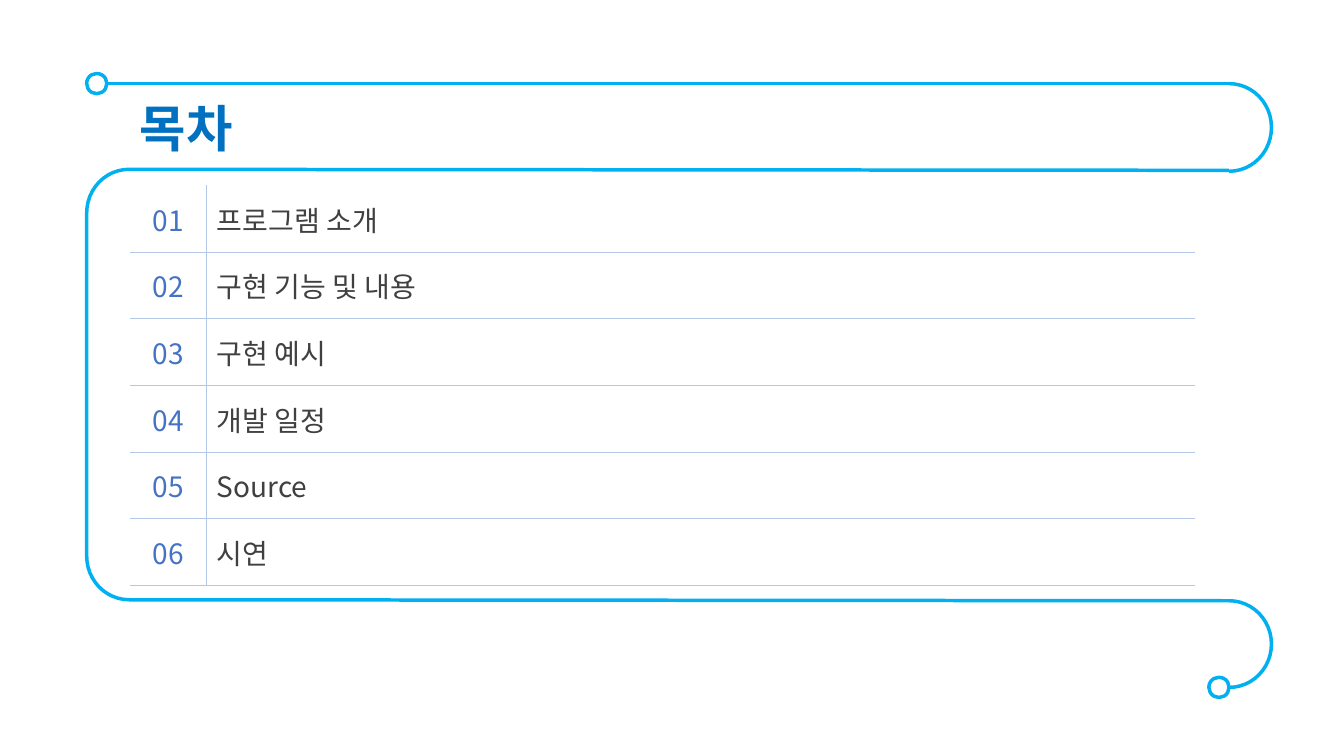
"""Build a table-of-contents slide framed by a winding line."""
from lxml import etree
from pptx import Presentation
from pptx.dml.color import RGBColor
from pptx.enum.shapes import MSO_CONNECTOR, MSO_SHAPE
from pptx.enum.text import MSO_ANCHOR, PP_ALIGN
from pptx.oxml.ns import qn
from pptx.util import Inches, Pt

TITLE = "목차"
TOPICS = ["프로그램 소개", "구현 기능 및 내용", "구현 예시", "개발 일정", "Source", "시연"]

FONT = "Noto Sans CJK KR"
TITLE_BLUE = RGBColor(0x00, 0x70, 0xC0)
NUMBER_BLUE = RGBColor(0x44, 0x72, 0xC4)
TOPIC_GRAY = RGBColor(0x40, 0x40, 0x40)
FRAME_BLUE = RGBColor(0x00, 0xB0, 0xF0)
RULE_BLUE = RGBColor(0xB4, 0xC7, 0xE7)
WHITE = RGBColor(0xFF, 0xFF, 0xFF)

STRAIGHT = MSO_CONNECTOR.STRAIGHT
LEFT_BRACKET = MSO_SHAPE.LEFT_BRACKET
RIGHT_BRACKET = MSO_SHAPE.RIGHT_BRACKET
KNOB = MSO_SHAPE.ROUND_2_SAME_RECTANGLE
MIDDLE = MSO_ANCHOR.MIDDLE
LEFT, CENTER = PP_ALIGN.LEFT, PP_ALIGN.CENTER

COLUMN_WIDTHS = [0.76, 5.5, 4.3]
ROW_HEIGHT = 3.97 / len(TOPICS)
BRACKET_WIDTH = 0.42
KNOB_SIZE = 0.2
FRAME_LINES = [
    (1.06, 0.83, 12.19, 0.83),
    (1.28, 1.68, 12.19, 1.69),
    (1.28, 5.95, 12.19, 5.96),
]
FRAME_BRACKETS = [
    (RIGHT_BRACKET, 12.19, 0.83, 0.87),
    (LEFT_BRACKET, 0.86, 1.68, 4.27),
    (RIGHT_BRACKET, 12.19, 5.96, 0.86),
]
FRAME_KNOBS = [(0.86, 0.73), (11.99, 6.72)]


def write(text_frame, text, size, color, alignment=LEFT, bold=False):
    text_frame.text = text
    paragraph = text_frame.paragraphs[0]
    paragraph.alignment = alignment
    font = paragraph.runs[0].font
    font.name, font.size, font.bold = FONT, Pt(size), bold
    font.color.rgb = color
    properties = paragraph.runs[0].font._element
    etree.SubElement(properties, qn("a:ea")).set("typeface", FONT)


def set_borders(cell, ruled_sides):
    properties = cell._tc.get_or_add_tcPr()
    for side in "LRTB":
        border = etree.SubElement(properties, qn(f"a:ln{side}"), w=str(Pt(1)))
        if side in ruled_sides:
            fill = etree.SubElement(border, qn("a:solidFill"))
            etree.SubElement(fill, qn("a:srgbClr"), val=str(RULE_BLUE))
        else:
            etree.SubElement(border, qn("a:noFill"))


def style_frame_line(line):
    line.color.rgb = FRAME_BLUE
    line.width = Pt(2.5)


def add_frame_shape(slide, kind, left, top, width, height, adjustments):
    shape = slide.shapes.add_shape(
        kind, Inches(left), Inches(top), Inches(width), Inches(height))
    shape.shadow.inherit = False
    for index, value in enumerate(adjustments):
        shape.adjustments[index] = value
    style_frame_line(shape.line)
    return shape


def add_title(slide):
    box = slide.shapes.add_textbox(Inches(1.29), Inches(0.91), Inches(8.3), Inches(0.71))
    box.text_frame.word_wrap = True
    write(box.text_frame, TITLE, 36, TITLE_BLUE, bold=True)


def add_contents(slide):
    table = slide.shapes.add_table(
        len(TOPICS), len(COLUMN_WIDTHS), Inches(1.29), Inches(1.84),
        Inches(sum(COLUMN_WIDTHS)), Inches(ROW_HEIGHT * len(TOPICS))).table
    table.first_row = table.horz_banding = False
    for column, width in zip(table.columns, COLUMN_WIDTHS):
        column.width = Inches(width)
    for row_index, topic in enumerate(TOPICS):
        row = table.rows[row_index]
        row.height = Inches(ROW_HEIGHT)
        top_side = "T" if row_index else ""
        for cell, inner_side in zip(row.cells, ("R", "L", "")):
            set_borders(cell, top_side + "B" + inner_side)
            cell.fill.background()
            cell.vertical_anchor = MIDDLE
        write(row.cells[0].text_frame, f"{row_index + 1:02}", 20, NUMBER_BLUE, CENTER)
        write(row.cells[1].text_frame, topic, 20, TOPIC_GRAY)


def add_frame(slide):
    for ends in FRAME_LINES:
        connector = slide.shapes.add_connector(STRAIGHT, *map(Inches, ends))
        style_frame_line(connector.line)
        etree.SubElement(connector._element.spPr, qn("a:effectLst"))
    for kind, left, top, height in FRAME_BRACKETS:
        bracket = add_frame_shape(slide, kind, left, top, BRACKET_WIDTH, height, [1.03])
        bracket.fill.background()
    for left, top in FRAME_KNOBS:
        knob = add_frame_shape(slide, KNOB, left, top, KNOB_SIZE, KNOB_SIZE, [0.49, 0.5])
        knob.fill.solid()
        knob.fill.fore_color.rgb = WHITE


def main():
    presentation = Presentation()
    presentation.slide_width, presentation.slide_height = Inches(13.33), Inches(7.5)
    slide = presentation.slides.add_slide(presentation.slide_layouts[6])
    add_title(slide)
    add_contents(slide)
    add_frame(slide)
    presentation.save("out.pptx")


if __name__ == "__main__":
    main()
